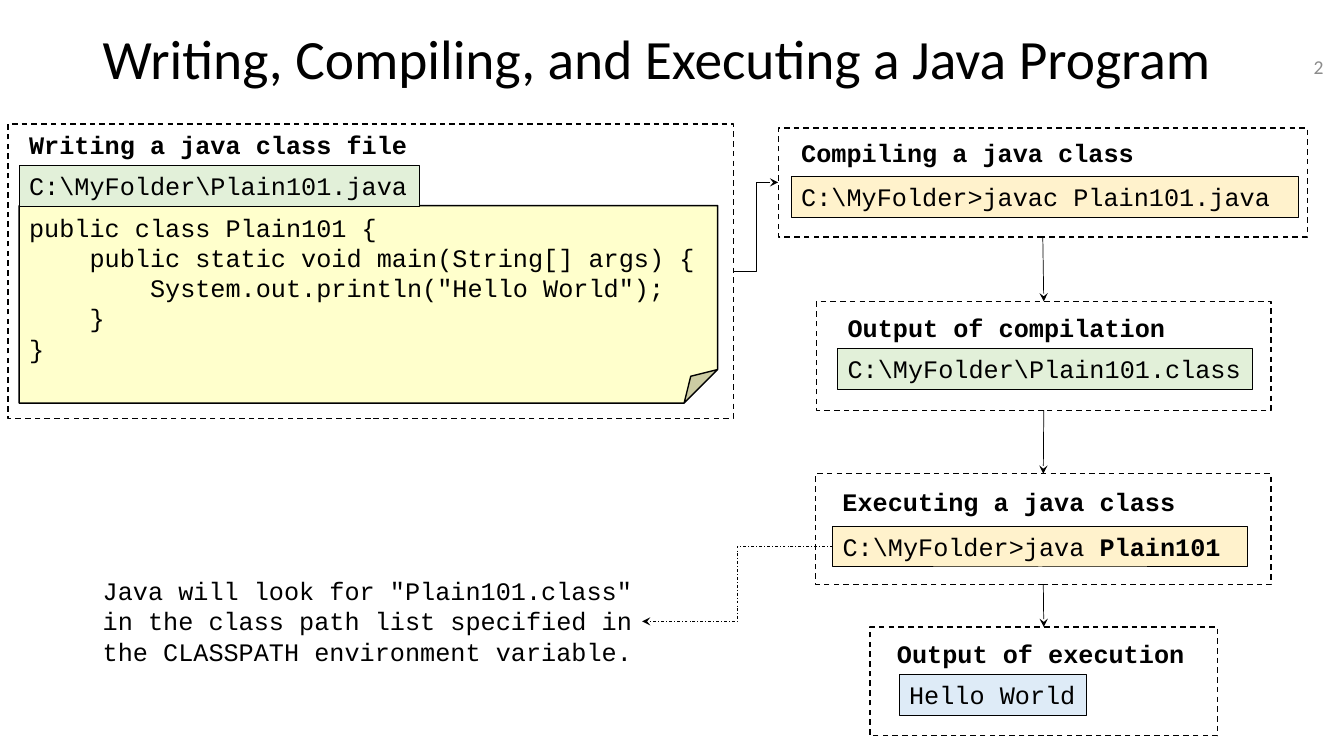
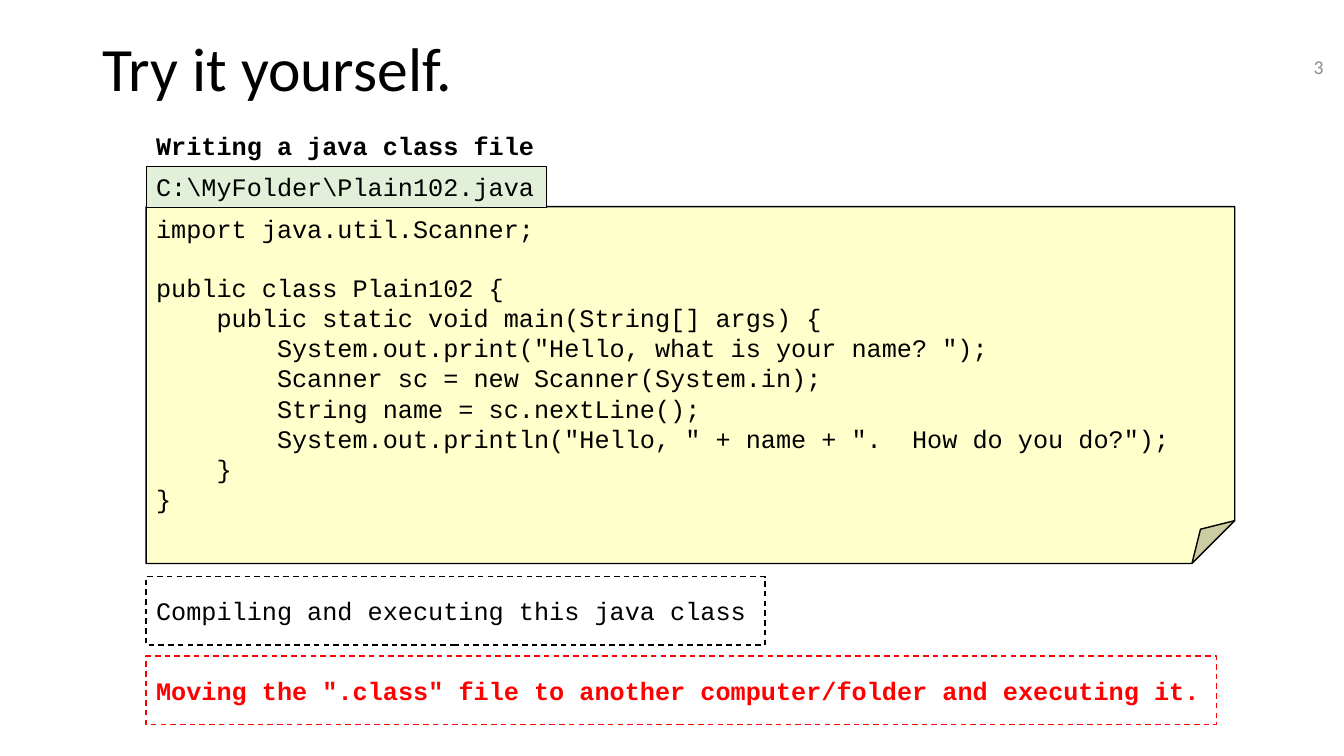
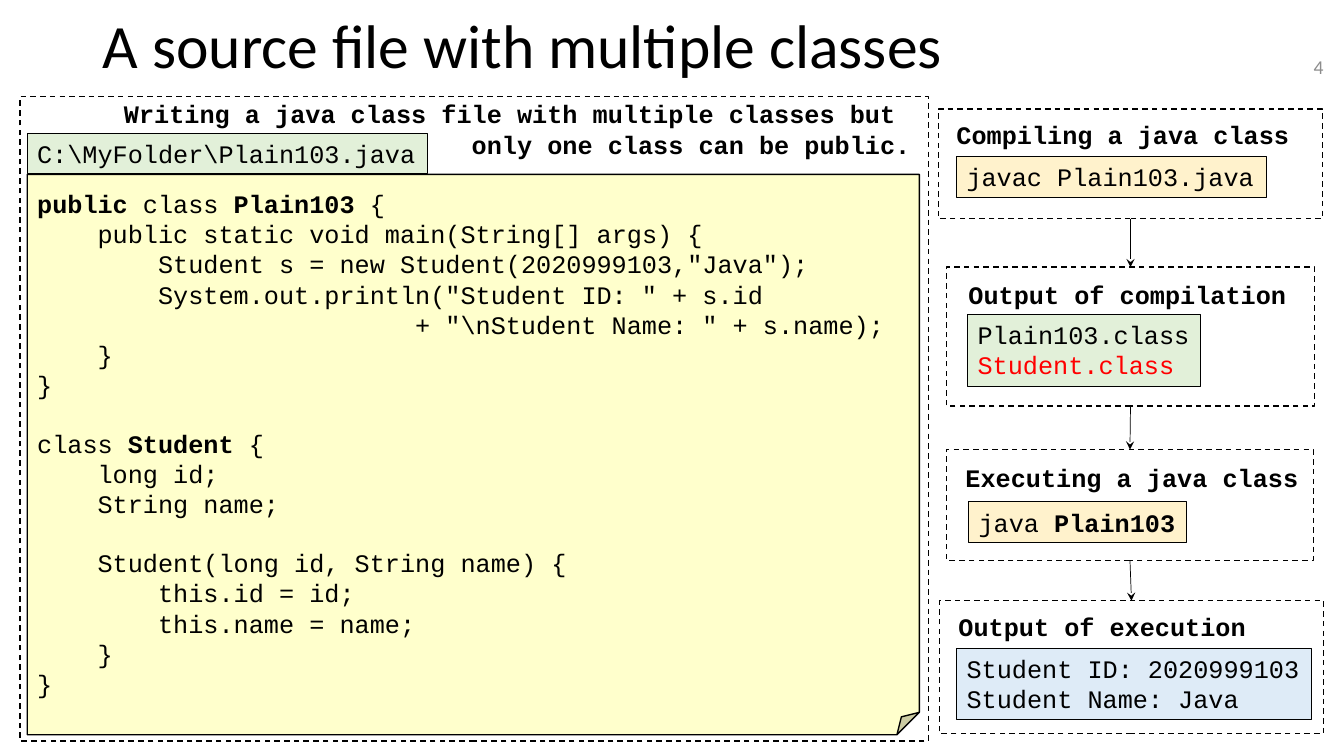
from pptx import Presentation, util as u
from pptx.dml.color import RGBColor
from pptx.enum import dml, shapes, text
from pptx.oxml import parse_xml
from pptx.oxml.ns import nsdecls

# The grid: square cells of a tenth of an inch, 133.33 columns by 75 rows.
CELL = u.Inches(0.1)
COLUMNS, ROWS = 133.33, 75
CODE_SIZE = 18
CHAR_WIDTH, LINE_HEIGHT = 0.6 * CODE_SIZE, 1.13 * CODE_SIZE  # points
LEFT_INSET, TOP_INSET = 1, 0.5
CODE_FONT, TITLE_FONT = "Courier New", "Calibri"
COLORS = {
    "ink": "000000", "red": "FF0000", "grey": "8C8C8C", "note": "FFFFCC",
    "file": "E2F0D9", "command": "FFF2CC", "result": "DEEBF7",
}
DASH, DASH_DOT = dml.MSO_LINE.DASH, dml.MSO_LINE.DASH_DOT
TOP, LEFT, BOTTOM, RIGHT = range(4)  # connection sites of a rectangle

# Lines of text: **bold** toggles bold, a (text, colour) pair sets a colour.
# Stage: frame, heading place, heading, tag place and width, colour, tag lines.
WRITING = "Writing a java class file"
PAGES = [
    {
        "number": 2,
        "title": ("Writing, Compiling, and Executing a Java Program", 39.6, 0.8, 10.7),
        "source": {
            "frame": (0.8, 12.3, 72, 29.2),
            "heading": ((1.9, 12.3, 40.4, 4), [f"**{WRITING}**"], "left"),
            "file": (1.9, 16.4, "C:\\MyFolder\\Plain101.java"),
            "note": (1.9, 20.4, 69.3, 19.6), "fold": 0.17,
            "code": [
                "public class Plain101 {",
                "    public static void main(String[] args) {",
                '        System.out.println("Hello World");',
                "    }",
                "}",
            ],
        },
        "stages": [
            ((77.2, 12.7, 52.5, 10.8), (78.5, 13.1), "Compiling a java class",
             (78.5, 17.5, 50.3), "command", ["C:\\MyFolder>javac Plain101.java"]),
            ((81, 29.9, 45.1, 10.8), (83.1, 30.5), "Output of compilation",
             (83.1, 34.6, 41.2), "file", ["C:\\MyFolder\\Plain101.class"]),
            ((80.9, 47, 45.2, 11), (82.6, 47.8), "Executing a java class",
             (82.6, 52.2, 41.2), "command", ["C:\\MyFolder>java **Plain101**"]),
            ((86.3, 62.2, 34.5, 10.8), (88, 62.8), "Output of execution",
             (89.2, 66.9, 18.6), "result", ["Hello World"]),
        ],
        "remark": ((9.2, 56.6, 54.5, 10.1),
                   'Java will look for "Plain101.class" in the class path list '
                   "specified in the CLASSPATH environment variable."),
    },
    {
        "number": 3,
        "title": ("Try it yourself.", 44, 1.8, 10.7),
        "source": {
            "heading": ((14.5, 12.4, 40.4, 4), [f"**{WRITING}**"], "left"),
            "file": (14.5, 16.5, "C:\\MyFolder\\Plain102.java"),
            "note": (14.5, 20.5, 108, 35.4), "fold": 0.12,
            "code": [
                "import java.util.Scanner;",
                "",
                "public class Plain102 {",
                "    public static void main(String[] args) {",
                '        System.out.print("Hello, what is your name? ");',
                "        Scanner sc = new Scanner(System.in);",
                "        String name = sc.nextLine();",
                '        System.out.println("Hello, " + name + ".  How do you do?");',
                "    }",
                "}",
            ],
        },
        "tasks": [
            ((14.5, 57.2, 61.4, 6.8), "ink", "Compiling and executing this java class"),
            ((14.5, 65.1, 106.2, 6.8), "red",
             '**Moving the ".class" file to another computer/folder and executing it.**'),
        ],
    },
    {
        "number": 4,
        "title": ("A source file with multiple classes", 44, 0.7, 8.2),
        "source": {
            "frame": (2, 9.6, 90.1, 63.9),
            "heading": ((2.4, 9.3, 87.9, 7.1),
                        [f"**{WRITING} with multiple classes but **",
                         "**only one class can be public.**"], "right"),
            "file": (2.7, 13.2, "C:\\MyFolder\\Plain103.java"),
            "note": (2.7, 17.3, 88.5, 55.6), "fold": 0.04,
            "code": [
                "**public** class **Plain103** {",
                "    public static void main(String[] args) {",
                '        Student s = new Student(2020999103,"Java");',
                '        System.out.println("Student ID: " + s.id ',
                '                         + "\\nStudent Name: " + s.name);',
                "    }",
                "}",
                "",
                "class **Student** {",
                "    long id;",
                "    String name;",
                "",
                "    Student(long id, String name) {",
                "        this.id = id;",
                "        this.name = name;",
                "    }",
                "}",
            ],
        },
        "stages": [
            ((93.1, 10.8, 38.1, 10.9), (93.9, 11.3), "Compiling a java class",
             (94.9, 15.5, 30.7), "command", ["javac Plain103.java"]),
            ((93.9, 26.5, 36.5, 13.8), (95.1, 27.2), "Output of compilation",
             (96, 31.2, 23.1), "file", ["Plain103.class", ("Student.class", "red")]),
            ((93.9, 44.6, 36.4, 11), (94.8, 45.4), "Executing a java class",
             (96.1, 49.8, 21.6), "command", ["java **Plain103**"]),
            ((93.2, 59.6, 38.1, 13.2), (94.1, 60.2), "Output of execution",
             (94.9, 64.3, 35.2), "result",
             ["Student ID: 2020999103", "Student Name: Java"]),
        ],
    },
]


def cells(*counts):
    """Turn counts of grid cells into lengths."""
    return [round(count * CELL) for count in counts]


def color(name):
    """Look up a named colour."""
    return RGBColor.from_string(COLORS[name])


def set_line(line, ink="ink", width=1.0, dash=None):
    """Style an outline or a connector."""
    line.color.rgb = color(ink)
    line.width = u.Pt(width)
    if dash is not None:
        line.dash_style = dash


def write(box, lines, ink="ink", font=CODE_FONT, size=CODE_SIZE,
          align="left", middle=False, spacing=None):
    """Write lines into a box; leading spaces become indents, empty lines gaps."""
    frame = box.text_frame
    frame.word_wrap = True
    frame.margin_left, frame.margin_top, frame.margin_right, frame.margin_bottom = cells(
        LEFT_INSET, TOP_INSET, 0, TOP_INSET)
    frame.vertical_anchor = text.MSO_ANCHOR.MIDDLE if middle else text.MSO_ANCHOR.TOP
    para, gap = None, 0
    for line in lines:
        words, line_ink = line if isinstance(line, tuple) else (line, ink)
        if not words:
            gap += LINE_HEIGHT
            continue
        para = frame.add_paragraph() if para else frame.paragraphs[0]
        para.alignment = getattr(text.PP_ALIGN, align.upper())
        para.space_before = u.Pt(gap)
        if spacing:
            para.line_spacing = spacing
        gap = 0
        stripped = words.lstrip()
        indent = (len(words) - len(stripped)) * CHAR_WIDTH
        if indent:
            properties = para._p.get_or_add_pPr()
            properties.set("marL", str(int(u.Pt(indent))))
            properties.set("indent", "0")
        for index, part in enumerate(stripped.split("**")):
            if part:
                span = para.add_run()
                span.text = part
                span.font.name, span.font.size = font, u.Pt(size)
                span.font.bold = index % 2 == 1
                span.font.color.rgb = color(line_ink)


def add_text(page, place, lines, **style):
    """Add a plain text box."""
    box = page.shapes.add_textbox(*cells(*place))
    write(box, lines, **style)
    return box


def add_box(page, place, fill=None, ink="ink", width=1.0, dash=None, kind="RECTANGLE"):
    """Add an outlined shape, filled if a colour is named."""
    box = page.shapes.add_shape(getattr(shapes.MSO_SHAPE, kind), *cells(*place))
    box.shadow.inherit = False
    if fill:
        box.fill.solid()
        box.fill.fore_color.rgb = color(fill)
    else:
        box.fill.background()
    set_line(box.line, ink, width, dash)
    return box


def add_tag(page, left, top, width, fill, lines):
    """Add a coloured label as high as its lines."""
    tag = add_box(page, (left, top, width, 1 + 3.05 * len(lines)), fill, width=0.75)
    write(tag, lines)
    return tag


def add_arrow(page, start, start_site, end, end_site, kind="ELBOW", dash=None):
    """Join two boxes with an arrow."""
    arrow = page.shapes.add_connector(getattr(shapes.MSO_CONNECTOR, kind), 0, 0, 0, 0)
    arrow.begin_connect(start, start_site)
    arrow.end_connect(end, end_site)
    set_line(arrow.line, width=0.5, dash=dash)
    arrow.line._get_or_add_ln().append(
        parse_xml(f'<a:tailEnd {nsdecls("a")} type="stealth"/>'))
    arrow._element.spPr.append(parse_xml(f'<a:effectLst {nsdecls("a")}/>'))


def add_note(page, place, fold, lines):
    """Add a sheet of code; fold is the corner's share of the shorter side."""
    note = add_box(page, place, "note", kind="FOLDED_CORNER")
    guides = note._element.xpath(".//a:avLst")[0]
    guides.append(parse_xml(
        f'<a:gd {nsdecls("a")} name="adj" fmla="val {round(fold * 100000)}"/>'))
    write(note, lines, middle=True)


def add_source(page, source):
    """Add a source file: folded note, file name, heading and optional frame."""
    add_note(page, source["note"], source["fold"], source["code"])
    left, top, name = source["file"]
    add_tag(page, left, top, 39.7, "file", [name])
    place, lines, align = source["heading"]
    add_text(page, place, lines, align=align)
    if "frame" in source:
        return add_box(page, source["frame"], dash=DASH)


def add_stages(page, stages):
    """Add the chain of stages and return its frames and tags."""
    frames, tags = [], []
    for place, corner, heading, tag_place, fill, lines in stages:
        tags.append(add_tag(page, *tag_place, fill, lines))
        add_text(page, (*corner, 36, 4), [f"**{heading}**"])
        frames.append(add_box(page, place, dash=DASH))
    for upper, lower in zip(frames, frames[1:]):
        add_arrow(page, upper, BOTTOM, lower, TOP, kind="STRAIGHT")
    return frames, tags


def add_page(deck, content):
    """Build one slide."""
    page = deck.slides.add_slide(deck.slide_layouts[6])
    title, size, top, height = content["title"]
    add_text(page, (9.2, top, 115, height), [title], font=TITLE_FONT, size=size,
             middle=True, spacing=0.9)
    source_frame = add_source(page, content["source"])
    frames, tags = add_stages(page, content.get("stages", []))
    if "remark" in content:
        place, words = content["remark"]
        remark = add_text(page, place, [words])
        add_arrow(page, source_frame, RIGHT, frames[0], LEFT)
        add_arrow(page, tags[2], LEFT, remark, RIGHT, dash=DASH_DOT)
    for place, ink, words in content.get("tasks", []):
        write(add_box(page, place, ink=ink, dash=DASH), [words], ink=ink, middle=True)
    add_text(page, (127.8, 4.6, 3.5, 4), [str(content["number"])], ink="grey",
             font=TITLE_FONT, size=14, align="right", middle=True)


deck = Presentation()
deck.slide_width, deck.slide_height = cells(COLUMNS, ROWS)
for content in PAGES:
    add_page(deck, content)
deck.save("out.pptx")
